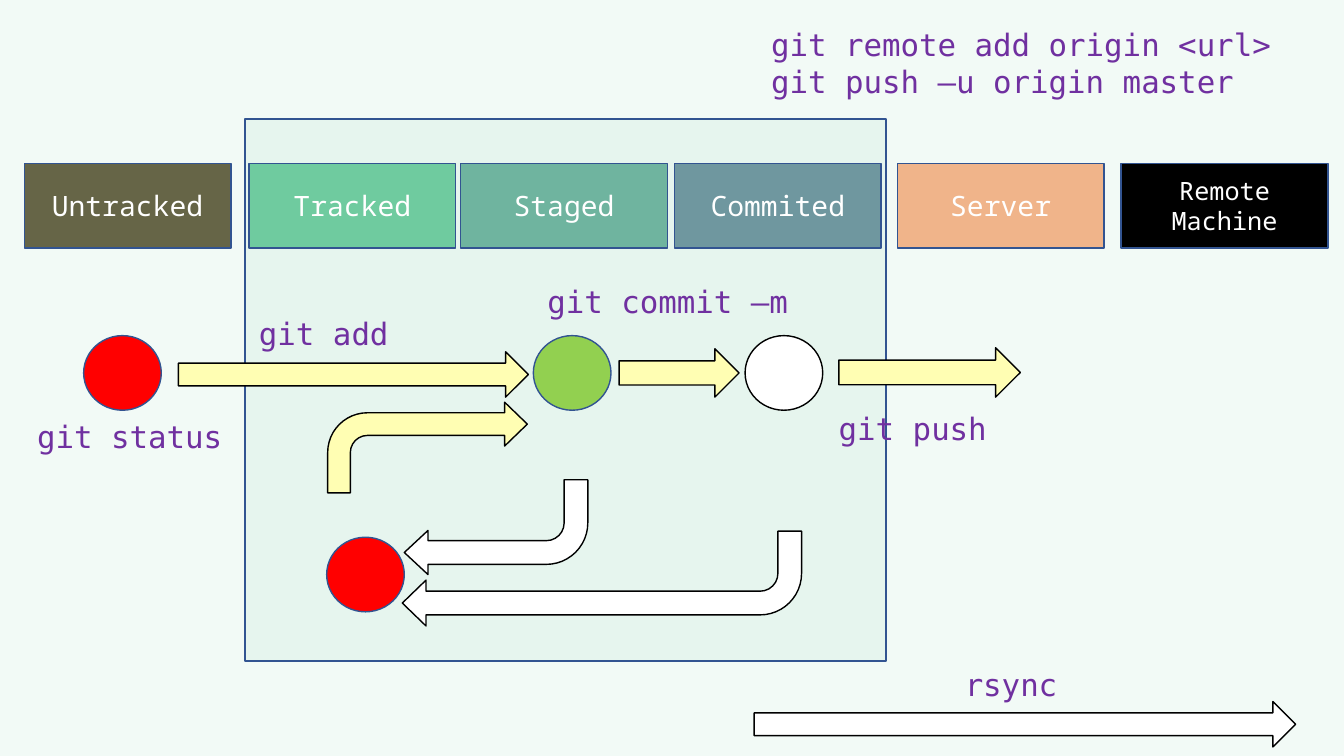
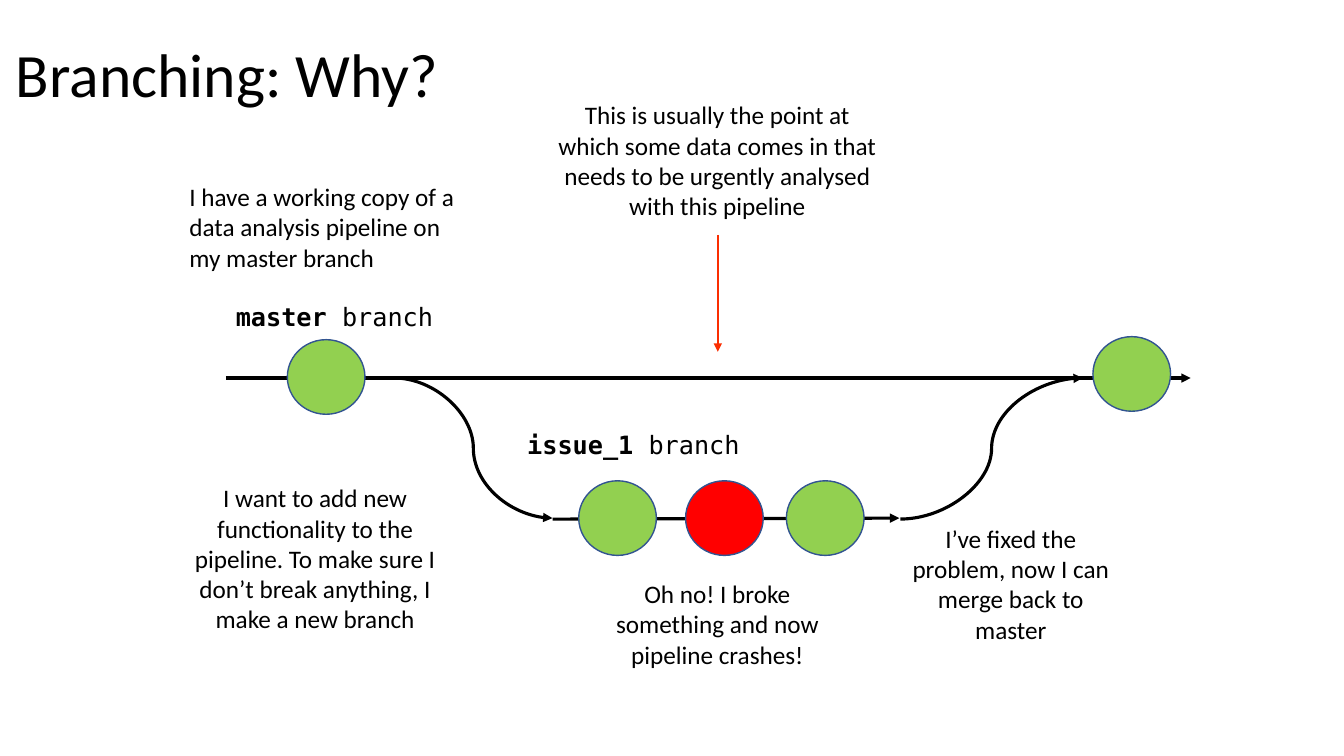
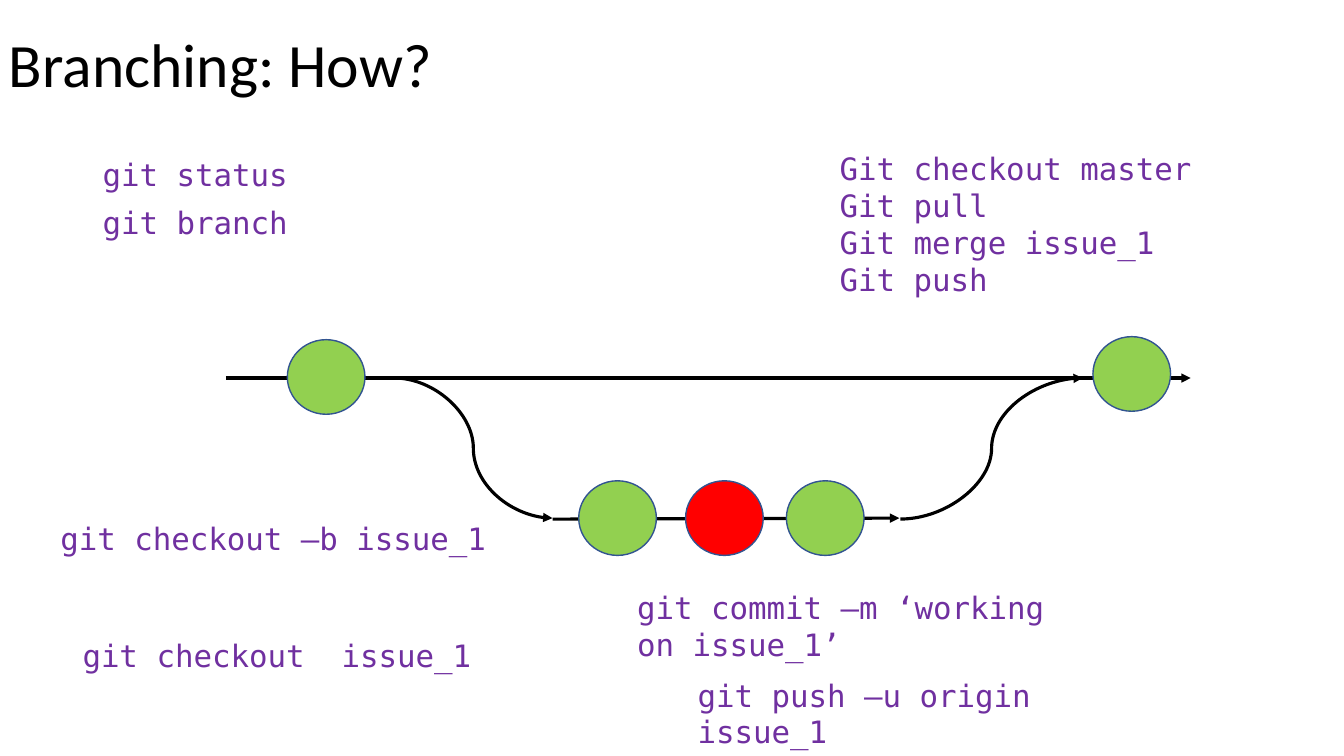
from lxml import etree
from pptx import Presentation
from pptx.dml.color import RGBColor
from pptx.enum import shapes, text
from pptx.oxml import ns
from pptx.util import Inches, Pt

SHAPE = shapes.MSO_SHAPE
LINK = shapes.MSO_CONNECTOR
CENTER = text.PP_ALIGN.CENTER
MONO, SANS, LABEL = "DejaVu Sans Mono", "Calibri", "Noto Sans Mono"
BLACK, WHITE, EDGE = "000000", "FFFFFF", "325491"
MINT, GREEN, RED = "6FCB9F", "92D050", "FF0000"
CREAM, PURPLE, ALERT = "FFFEB3", "7030A0", "FB2E01"
WIDTH, HEIGHT = 13.33, 7.5
DOT_W, DOT_H = 0.77, 0.74


def color(hex_code):
    return RGBColor.from_string(hex_code)


def style(p, size, font, hex_code, align=None):
    p.alignment = align
    for r in p.runs:
        r.font.size, r.font.name = Pt(size), font
        r.font.color.rgb = color(hex_code)


def shape(s, kind, box, fill, line=EDGE, alpha=None, rotation=0, adj=()):
    sp = s.shapes.add_shape(kind, *map(Inches, box))
    sp.shadow.inherit = False
    sp.rotation = rotation
    for i, value in enumerate(adj):
        sp.adjustments[i] = value
    sp.fill.solid()
    sp.fill.fore_color.rgb = color(fill)
    if alpha:
        rgb = sp.fill._xPr.find(".//" + ns.qn("a:srgbClr"))
        etree.SubElement(rgb, ns.qn("a:alpha")).set("val", str(alpha * 1000))
    if line:
        sp.line.color.rgb = color(line)
        sp.line.width = Pt(1)
    else:
        sp.line.fill.background()
    return sp


def dot(s, x, y, fill, line=EDGE):
    shape(s, SHAPE.OVAL, (x, y, DOT_W, DOT_H), fill, line)


def arrow(s, kind, start, end, hex_code=BLACK, width=2.25):
    c = s.shapes.add_connector(kind, *map(Inches, (*start, *end)))
    c.line.color.rgb = color(hex_code)
    c.line.width = Pt(width)
    ln = c.line._get_or_add_ln()
    etree.SubElement(ln, ns.qn("a:tailEnd")).set("type", "triangle")
    etree.SubElement(c._element.spPr, ns.qn("a:effectLst"))


def text_box(s, box, content):
    tf = s.shapes.add_textbox(*map(Inches, box)).text_frame
    tf.word_wrap = True
    tf.text = content
    return tf


def note(s, box, content, size=18, font=SANS, hex_code=BLACK, align=None):
    tf = text_box(s, box, content)
    tf.auto_size = text.MSO_AUTO_SIZE.SHAPE_TO_FIT_TEXT
    for p in tf.paragraphs:
        style(p, size, font, hex_code, align)
    return tf


def command(s, box, content):
    note(s, box, content, 22, MONO, PURPLE)


def branch_label(s, x, y, name):
    p = note(s, (x, y, 2.58, 0.4), name, font=MONO).paragraphs[0]
    p.runs[0].font.bold = True
    p.add_run().text = " branch"
    style(p, 18, MONO, BLACK)


def title(s, x, y, content):
    tf = text_box(s, (x, y, 11.5, 1.45), content)
    tf.vertical_anchor = text.MSO_ANCHOR.MIDDLE
    p = tf.paragraphs[0]
    p.line_spacing = 0.9
    style(p, 44, SANS, BLACK)


def stage_row(s, y):
    stages = [
        (0.24, "Untracked", "666547", 20),
        (2.47, "Tracked", MINT, 20),
        (4.57, "Staged", "6FB49F", 20),
        (6.69, "Commited", "6F979F", 20),
        (8.9, "Server", "F0B48A", 20),
        (11.12, "Remote Machine", BLACK, 18),
    ]
    for x, name, fill, size in stages:
        tf = shape(s, SHAPE.RECTANGLE, (x, y, 2.05, 0.84), fill).text_frame
        tf.word_wrap = True
        tf.vertical_anchor = text.MSO_ANCHOR.MIDDLE
        tf.text = name
        style(tf.paragraphs[0], size, LABEL, WHITE, CENTER)


def file_flow(s, x, y):
    for dx, dy, w, h, fill in [
        (0.94, 0.16, 3.47, 0.45, CREAM),
        (5.31, 0.13, 1.19, 0.48, CREAM),
        (7.49, 0.12, 1.8, 0.49, CREAM),
        (6.65, 3.63, 5.37, 0.45, WHITE),
    ]:
        shape(s, SHAPE.RIGHT_ARROW, (x + dx, y + dy, w, h), fill, BLACK)
    for dx, dy, fill, line in [
        (4.46, 0, GREEN, EDGE),
        (6.56, 0, WHITE, BLACK),
        (2.41, 2, RED, EDGE),
        (0, 0, RED, EDGE),
    ]:
        dot(s, x + dx, y + dy, fill, line)
    for dx, dy, w, h, fill, rotation, head in [
        (3.16, 1.94, 3.96, 0.94, WHITE, 180, 0.242),
        (3.18, 1.43, 1.82, 0.94, WHITE, 180, 0.233),
        (2.42, 0.66, 1.98, 0.9, CREAM, 0, 0.242),
    ]:
        shape(s, SHAPE.BENT_ARROW, (x + dx, y + dy, w, h), fill, BLACK,
              rotation=rotation, adj=(0.25, head, 0.25, 0.438))


def branch_graph(s, x, y):
    low = y + 1.4
    arrow(s, LINK.STRAIGHT, (x, y), (x + 9.57, y))
    arrow(s, LINK.CURVE, (x + 1.67, y), (x + 3.24, low - 0.01))
    arrow(s, LINK.STRAIGHT, (x + 3.24, low), (x + 6.68, low - 0.01))
    arrow(s, LINK.CURVE, (x + 6.69, low), (x + 8.5, y))
    for dx, dy, fill in [
        (0.61, -0.38, GREEN),
        (3.5, 1.02, GREEN),
        (4.56, 1.02, RED),
        (5.56, 1.02, GREEN),
        (8.6, -0.41, GREEN),
    ]:
        dot(s, x + dx, y + dy, fill)


def workflow_slide(s):
    shape(s, SHAPE.RECTANGLE, (0, 0, WIDTH, HEIGHT), MINT, None, alpha=9)
    shape(s, SHAPE.RECTANGLE, (2.43, 1.18, 6.36, 5.38), MINT, alpha=9)
    stage_row(s, 1.62)
    file_flow(s, 0.83, 3.33)
    for x, y, w, content in [
        (5.33, 2.76, 4.59, "git commit –m"),
        (2.47, 3.07, 2.21, "git add"),
        (8.22, 4.02, 2.21, "git push"),
        (0.27, 4.1, 4.59, "git status"),
        (9.47, 6.56, 2.21, "rsync"),
    ]:
        command(s, (x, y, w, 0.57), content)
    command(s, (7.55, 0.21, 5.56, 0.84),
            "git remote add origin <url>\ngit push –u origin master")


def why_slide(s):
    title(s, 0.06, 0.04, "Branching: Why?")
    branch_graph(s, 2.24, 3.75)
    branch_label(s, 2.24, 2.94, "master")
    branch_label(s, 5.13, 4.21, "issue_1")
    arrow(s, LINK.STRAIGHT, (7.12, 2.33), (7.12, 3.49), ALERT, 1.5)
    note(s, (1.78, 1.75, 2.91, 1.01),
         "I have a working copy of a data analysis pipeline on my master branch")
    for box, content in [
        ((1.67, 4.74, 2.91, 1.62),
         "I want to add new functionality to the pipeline. To make sure "
         "I don’t break anything, I make a new branch"),
        ((6.01, 5.69, 2.21, 1.31),
         "Oh no! I broke something and now pipeline crashes!"),
        ((5.4, 0.94, 3.43, 1.31),
         "This is usually the point at which some data comes in that needs "
         "to be urgently analysed with this pipeline"),
        ((8.92, 5.14, 2.21, 1.31),
         "I’ve fixed the problem, now I can merge back to master"),
    ]:
        note(s, box, content, align=CENTER)


def how_slide(s):
    title(s, -0.01, -0.06, "Branching: How?")
    branch_graph(s, 2.24, 3.75)
    for box, content in [
        ((0.92, 1.5, 2.21, 0.47), "git status"),
        ((0.92, 1.97, 2.21, 0.47), "git branch"),
        ((0.5, 5.11, 4.75, 0.47), "git checkout –b issue_1"),
        ((0.72, 6.27, 4.75, 0.47), "git checkout  issue_1"),
        ((6.22, 5.79, 4.75, 1.21), "git commit –m ‘working on issue_1’"),
        ((6.82, 6.66, 4.75, 0.84), "git push –u origin issue_1"),
        ((8.23, 1.44, 4.75, 1.95),
         "Git checkout master\nGit pull\nGit merge issue_1\nGit push"),
    ]:
        command(s, box, content)


def main():
    prs = Presentation()
    prs.slide_width, prs.slide_height = Inches(WIDTH), Inches(HEIGHT)
    for build in (workflow_slide, why_slide, how_slide):
        build(prs.slides.add_slide(prs.slide_layouts[6]))
    prs.save("out.pptx")


if __name__ == "__main__":
    main()
